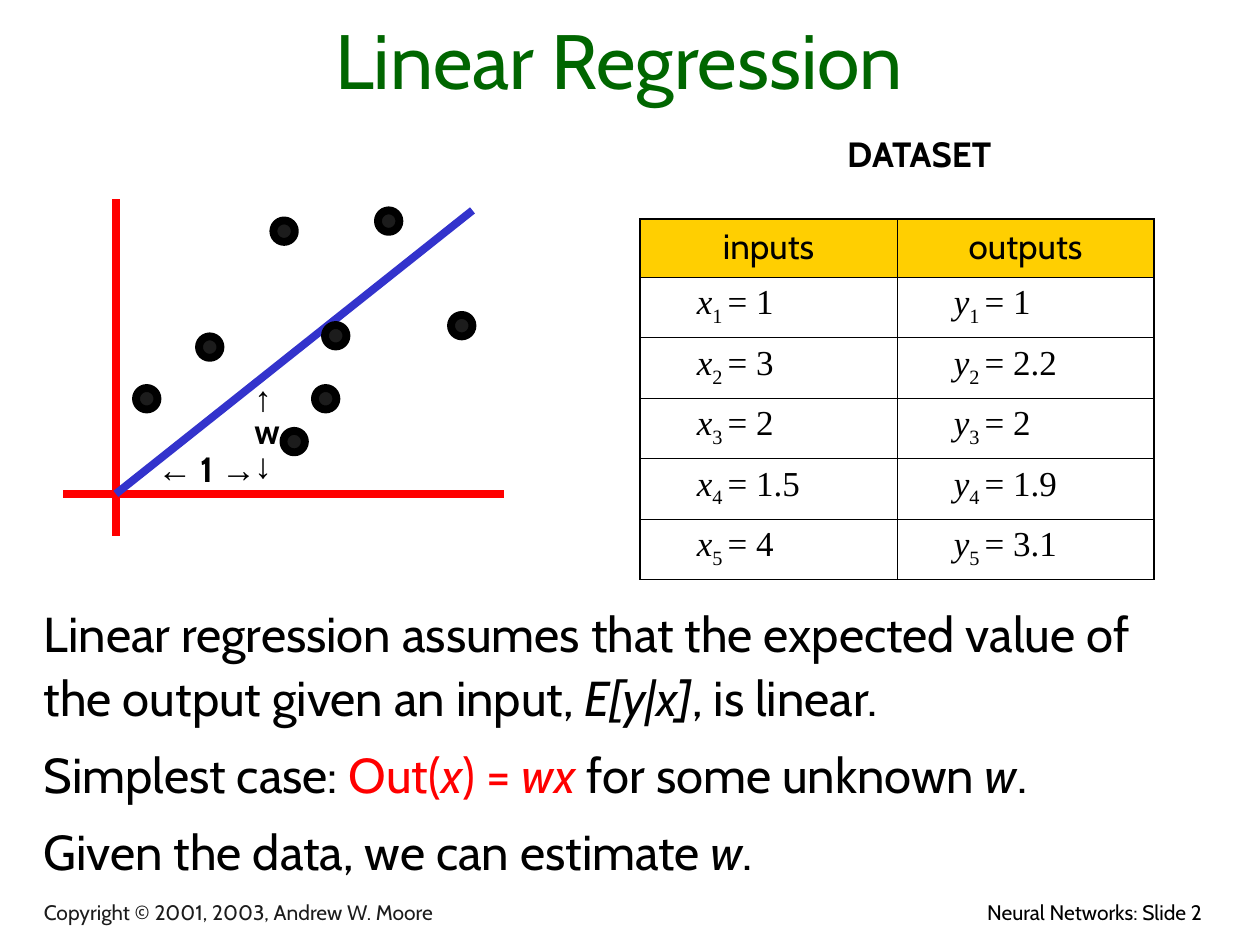
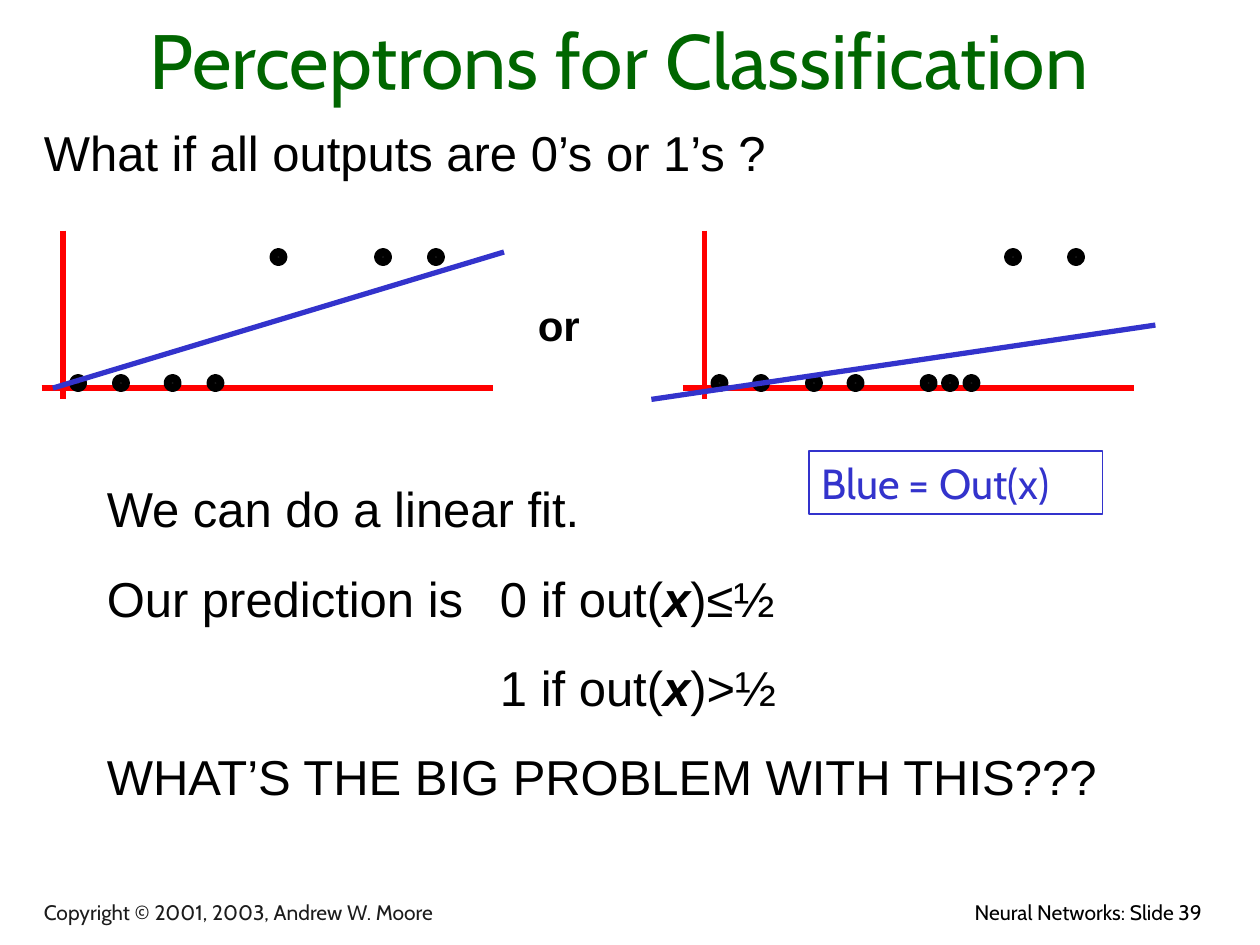
"""Build two slides on linear regression and perceptron classification."""
from lxml.etree import SubElement
from pptx import Presentation
from pptx.dml.color import RGBColor
from pptx.enum.shapes import MSO_CONNECTOR, MSO_SHAPE
from pptx.enum.text import MSO_ANCHOR as Anchor, MSO_AUTO_SIZE, PP_ALIGN as Align
from pptx.oxml.ns import qn
from pptx.util import Inches, Pt

GREEN = RGBColor(0x00, 0x66, 0x00)
RED = RGBColor(0xFF, 0x00, 0x00)
BLUE = RGBColor(0x33, 0x33, 0xCC)
GOLD = RGBColor(0xFF, 0xCF, 0x01)
BLACK = RGBColor(0x00, 0x00, 0x00)
CHARCOAL = RGBColor(0x1C, 0x1C, 0x1C)

ITALIC = {"italic": True}
BOLD_ITALIC = {"bold": True, "italic": True}
RED_TEXT = {"color": RED}
RED_ITALIC = {"color": RED, "italic": True}
ARIAL = {"name": "Arial"}
SUBSCRIPT = {"baseline": "-25000"}

TITLE_FORMAT = {"name": "Cabin", "size": Pt(44), "color": GREEN}
FOOTER_FORMAT = {"name": "Cabin", "size": Pt(12)}
BODY_FORMAT = {"name": "Cabin", "size": Pt(28)}
ARIAL_BODY = {"name": "Arial", "size": Pt(28)}
LABEL_FORMAT = {"name": "Cabin", "size": Pt(20), "bold": True}
HEADER_FORMAT = {"name": "Cabin", "size": Pt(20)}
VALUE_FORMAT = {"name": "Times New Roman", "size": Pt(20)}

COPYRIGHT = "Copyright © 2001, 2003, Andrew W. Moore"
HEADERS = ["inputs", "outputs"]
DATASET = [("1", "1"), ("3", "2.2"), ("2", "2"), ("1.5", "1.9"), ("4", "3.1")]
REGRESSION_TEXT = [
    [("Linear regression assumes that the expected value of the output given an input, ", {}),
     ("E[y|x]", ITALIC), (", is linear.", {})],
    [("Simplest case: ", {}), ("Out(", RED_TEXT), ("x", RED_ITALIC), (") = ", RED_TEXT),
     ("wx ", RED_ITALIC), ("for some unknown ", {}), ("w", ITALIC), (".", {})],
    [("Given the data, we can estimate ", {}), ("w", ITALIC), (".", {})],
]
RUN_LABEL = [[("←", ARIAL), (" 1 ", {}), ("→", ARIAL)]]
RISE_LABEL = [[("↑", ARIAL)], [("w", {})], [("↓", ARIAL)]]
PREDICTION_TEXT = [
    [("We can do a linear fit.", {})],
    [("Our prediction is\t0 if out(", {}), ("x", BOLD_ITALIC), (")≤½", {})],
    [("\t1 if out(", {}), ("x", BOLD_ITALIC), (")>½", {})],
    [("WHAT’S THE BIG PROBLEM WITH THIS???", {})],
]

REGRESSION_AXES = [(0.92, 1.58, 0.92, 4.25), (0.5, 3.92, 4, 3.92)]
REGRESSION_FIT = (0.92, 3.92, 3.75, 1.67)
REGRESSION_DOTS = [(2.17, 1.75), (2.58, 2.58), (1.58, 2.67), (1.08, 3.08),
                   (2.25, 3.42), (2.5, 3.08), (3, 1.67), (3.58, 2.5)]
CLASS_PLOTS = [
    {"left": 0.33, "zeros": [0.58, 0.92, 1.33, 1.67], "ones": [2.17, 3, 3.42],
     "fit": (0.42, 3.08, 4, 2)},
    {"left": 5.42, "zeros": [5.67, 6, 6.42, 6.75, 7.33, 7.5, 7.67], "ones": [8, 8.5],
     "fit": (5.17, 3.17, 9.17, 2.58)},
]


def write_runs(paragraph, runs, text_format):
    for text, changes in runs:
        run = paragraph.add_run()
        run.text = text
        values = {"color": BLACK, **text_format, **changes}
        run.font.color.rgb = values.pop("color")
        baseline = values.pop("baseline", None)
        if baseline:
            run._r.get_or_add_rPr().set("baseline", baseline)
        for name, value in values.items():
            setattr(run.font, name, value)


def write_text(frame, paragraphs, text_format, layout=None, anchor=Anchor.TOP, tab=None):
    frame.word_wrap = True
    frame.auto_size = MSO_AUTO_SIZE.NONE
    frame.vertical_anchor = anchor
    for index, runs in enumerate(paragraphs):
        paragraph = frame.add_paragraph() if index else frame.paragraphs[0]
        for name, value in (layout or {}).items():
            setattr(paragraph, name, value)
        if tab:
            tabs = SubElement(paragraph._p.get_or_add_pPr(), qn("a:tabLst"))
            SubElement(tabs, qn("a:tab"), pos=str(Inches(tab)), algn="l")
        write_runs(paragraph, runs, text_format)


def add_text(slide, box, content, text_format, **options):
    shape = slide.shapes.add_textbox(*map(Inches, box))
    paragraphs = [[(content, {})]] if isinstance(content, str) else content
    write_text(shape.text_frame, paragraphs, text_format, **options)
    return shape


def add_line(slide, ends, color, width):
    line = slide.shapes.add_connector(MSO_CONNECTOR.STRAIGHT, *map(Inches, ends))
    line.line.color.rgb = color
    line.line.width = Pt(width)
    SubElement(line._element.spPr, qn("a:effectLst"))


def add_dot(slide, left, top, size):
    dot = slide.shapes.add_shape(MSO_SHAPE.FLOWCHART_CONNECTOR,
                                 *map(Inches, (left, top, size, size)))
    dot.shadow.inherit = False
    dot.fill.solid()
    dot.fill.fore_color.rgb = CHARCOAL
    dot.line.color.rgb = BLACK
    dot.line.width = Pt(4.5)


def add_slide(presentation, title, number):
    slide = presentation.slides.add_slide(presentation.slide_layouts[5])
    heading = slide.shapes.title
    box = {"left": 0.25, "top": 0.17, "width": 9.33, "height": 0.71}
    for name, value in box.items():
        setattr(heading, name, Inches(value))
    write_text(heading.text_frame, [[(title, {})]], TITLE_FORMAT,
               {"alignment": Align.CENTER}, Anchor.BOTTOM)
    add_text(slide, (5.72, 7.09, 3.92, 0.33), f"Neural Networks: Slide {number}", FOOTER_FORMAT,
             layout={"alignment": Align.RIGHT, "space_before": Pt(7.5)})
    add_text(slide, (0.25, 7.11, 5.55, 0.28), COPYRIGHT,
             {**FOOTER_FORMAT, "color": CHARCOAL}, anchor=Anchor.BOTTOM)
    return slide


def set_borders(cell, outer_sides):
    properties = cell._tc.get_or_add_tcPr()
    for index, side in enumerate(("lnL", "lnR", "lnT", "lnB")):
        width = Pt(1.08 if side in outer_sides else 0.45)
        border = properties.makeelement(qn(f"a:{side}"), {"w": str(width)})
        fill = SubElement(border, qn("a:solidFill"))
        SubElement(fill, qn("a:srgbClr"), val=str(BLACK))
        properties.insert(index, border)


def add_dataset(slide):
    row_count = len(DATASET) + 1
    frame = slide.shapes.add_table(row_count, 2, *map(Inches, (5.08, 1.74, 4.08, 2.86)))
    table = frame.table
    table.first_row = table.horz_banding = False
    for row_index, row in enumerate(table.rows):
        row.height = Inches(0.48 if row_index else 0.46)
        for column_index, cell in enumerate(row.cells):
            paragraph = cell.text_frame.paragraphs[0]
            paragraph.space_before = Pt(5)
            if row_index:
                cell.fill.background()
                paragraph._p.get_or_add_pPr().set("marL", str(Inches(0.35)))
                value = DATASET[row_index - 1][column_index]
                runs = [("xy"[column_index], ITALIC), (f"{row_index} ", SUBSCRIPT),
                        (f"= {value}", {})]
                write_runs(paragraph, runs, VALUE_FORMAT)
            else:
                cell.fill.solid()
                cell.fill.fore_color.rgb = GOLD
                paragraph.alignment = Align.CENTER
                write_runs(paragraph, [(HEADERS[column_index], {})], HEADER_FORMAT)
            outer_sides = {"lnR" if column_index else "lnL"}
            if row_index == 0:
                outer_sides.add("lnT")
            if row_index == row_count - 1:
                outer_sides.add("lnB")
            set_borders(cell, outer_sides)


def build_regression(presentation):
    slide = add_slide(presentation, "Linear Regression", 2)
    add_text(slide, (0.25, 4.69, 9.38, 2.39), REGRESSION_TEXT, BODY_FORMAT,
             layout={"line_spacing": 1.1, "space_before": Pt(7)})
    add_dataset(slide)
    add_text(slide, (5.17, 1, 4.25, 0.44), "DATASET", LABEL_FORMAT,
             layout={"alignment": Align.CENTER, "space_before": Pt(12.5)})
    for axis in REGRESSION_AXES:
        add_line(slide, axis, RED, 4.5)
    add_line(slide, REGRESSION_FIT, BLUE, 4.5)
    for left, top in REGRESSION_DOTS:
        add_dot(slide, left, top, 0.17)
    add_text(slide, (1.15, 3.5, 1.6, 0.44), RUN_LABEL, LABEL_FORMAT,
             layout={"space_before": Pt(12.5)})
    add_text(slide, (1.92, 3, 0.5, 0.9), RISE_LABEL, LABEL_FORMAT, layout={"line_spacing": 0.8})


def build_classification(presentation):
    slide = add_slide(presentation, "Perceptrons for Classification", 39)
    add_text(slide, (0.25, 0.92, 9.38, 0.74), "What if all outputs are 0’s or 1’s ?",
             ARIAL_BODY, layout={"space_before": Pt(7)})
    add_text(slide, (4.17, 2.33, 0.83, 0.5), "or",
             {"name": "Arial", "size": Pt(24), "bold": True}, layout={"space_before": Pt(15)})
    add_text(slide, (0.75, 3.75, 8.5, 2.7), PREDICTION_TEXT, ARIAL_BODY,
             layout={"space_before": Pt(17.5)}, tab=3.12)
    for plot in CLASS_PLOTS:
        left = plot["left"]
        add_line(slide, (left + 0.17, 1.83, left + 0.17, 3.17), RED, 3)
        add_line(slide, (left, 3.08, left + 3.58, 3.08), RED, 3)
        for top, group in ((3, "zeros"), (2, "ones")):
            for dot_left in plot[group]:
                add_dot(slide, dot_left, top, 0.08)
        add_line(slide, plot["fit"], BLUE, 3)
    legend = add_text(slide, (6.42, 3.58, 2.33, 0.5), "Blue = Out(x)",
                      {"name": "Cabin", "size": Pt(24), "color": BLUE},
                      layout={"space_before": Pt(15)})
    legend.line.color.rgb = BLUE
    legend.line.width = Pt(0.75)


def main():
    presentation = Presentation()
    presentation.slide_width = Inches(10)
    presentation.slide_height = Inches(7.5)
    build_regression(presentation)
    build_classification(presentation)
    presentation.save("out.pptx")


if __name__ == "__main__":
    main()
